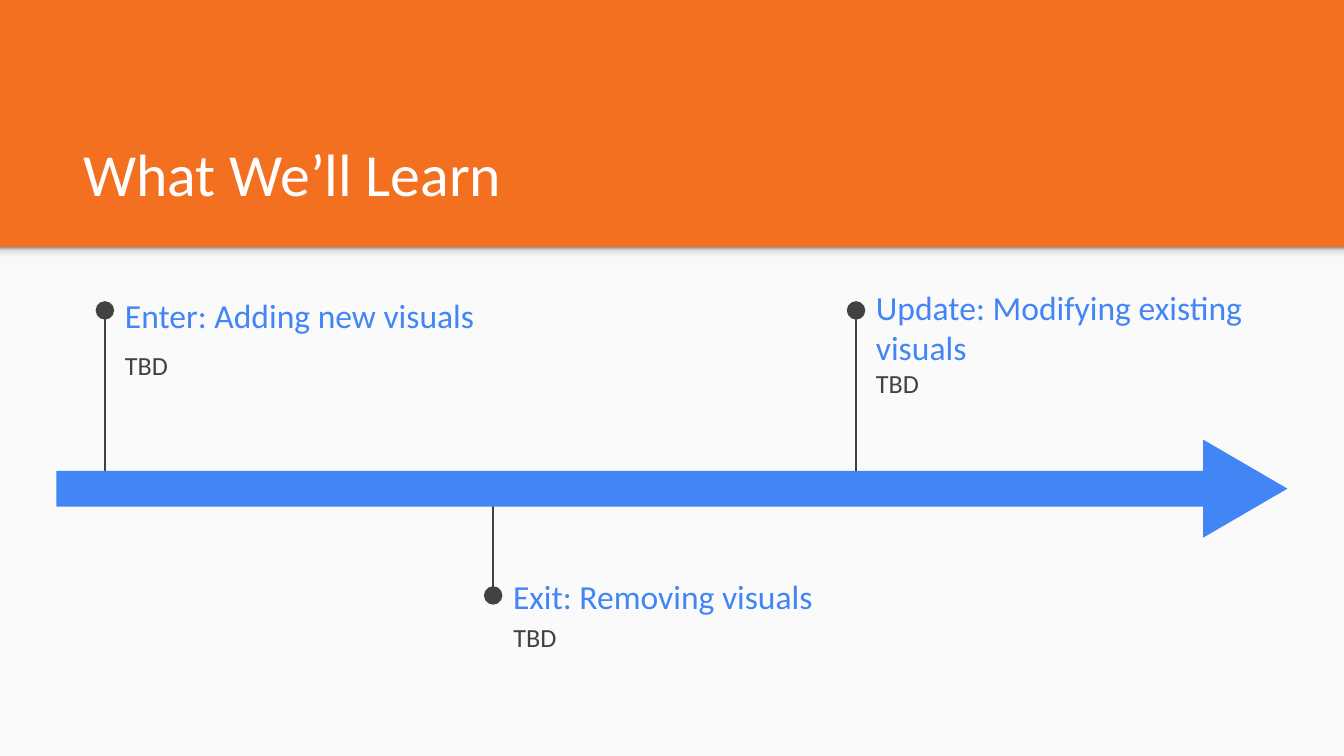
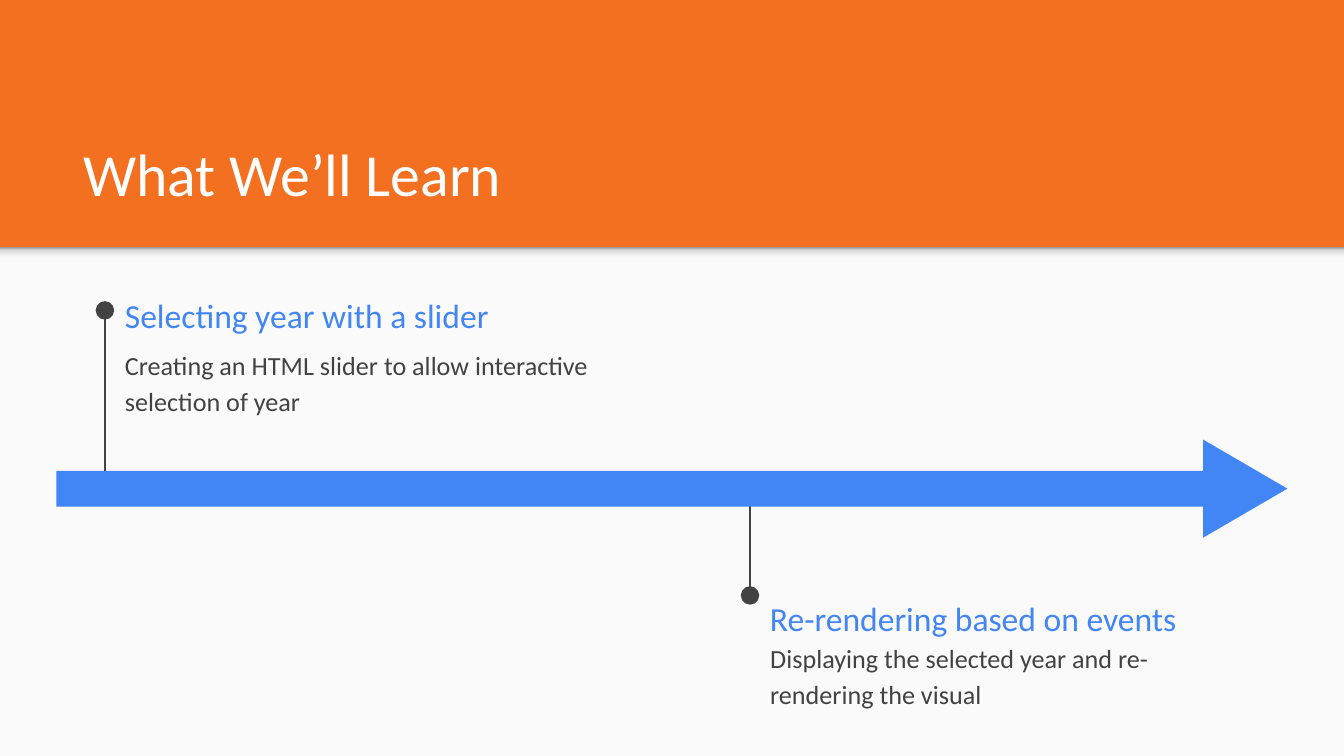
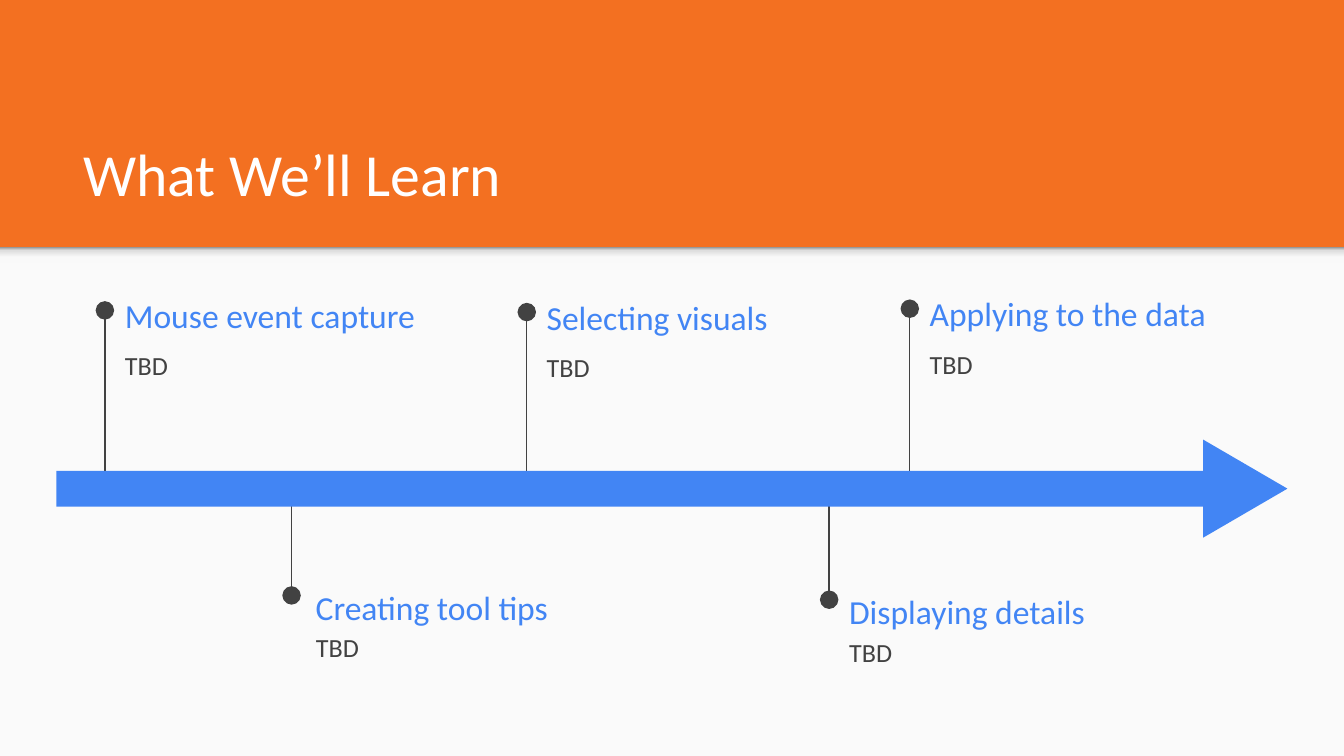
from dataclasses import dataclass
from typing import Optional

from lxml.etree import SubElement
from pptx import Presentation
from pptx.dml.color import RGBColor
from pptx.enum.shapes import MSO_CONNECTOR, MSO_SHAPE as Shape
from pptx.enum.text import MSO_ANCHOR as Anchor, MSO_AUTO_SIZE, PP_ALIGN
from pptx.oxml.ns import qn
from pptx.util import Pt


@dataclass(frozen=True)
class Theme:
    band: str = "F37021"
    panel: str = "FAFAFA"
    accent: str = "4285F4"
    ink: str = "424242"
    title: str = "FFFFFF"
    shade: tuple = ((0, "F9F9F9"), (36, "F9F9F9"), (80, "DEDEDE"), (100, "999999"))
    font: str = "Calibri"
    title_size: int = 32
    heading_size: int = 18
    detail_size: int = 14


@dataclass
class Milestone:
    heading: str
    x: float
    tip: float                    # height of the stem's dot
    heading_width: float
    detail_width: float
    detail: str = "TBD"
    rise: float = 13              # heading top above the dot
    drop: Optional[float] = None  # heading top to detail top
    indent: float = 3.6           # stem to text box


THEME = Theme()

# Content: the first milestone of a slide uses the body placeholder
TITLE = "What We’ll Learn"
SLIDES = [
    [
        Milestone("Exit: Removing visuals", 264.2, 319, 200, 120, rise=15.1),
        Milestone("Enter: Adding new visuals", 56.2, 166.3, 207.4, 144),
        Milestone("Update: Modifying existing visuals", 458.6, 166.3, 216, 144,
                  rise=6.5, drop=27.4),
    ],
    [
        Milestone("Re-rendering based on events", 401.8, 319, 238.3, 224.6,
                  "Displaying the selected year and re-rendering the visual", rise=3.6),
        Milestone("Selecting year with a slider", 56.2, 166.3, 300, 270,
                  "Creating an HTML slider to allow interactive selection of year"),
    ],
    [
        Milestone("Creating tool tips", 156.2, 319, 238.3, 224.6, rise=9.4, indent=5.8),
        Milestone("Mouse event capture", 56.2, 166.3, 189.4, 185.8),
        Milestone("Selecting visuals", 282.2, 167.2, 211, 185.8),
        Milestone("Displaying details", 444.2, 321.3, 238.3, 224.6, rise=9.4),
        Milestone("Applying to the data", 487.4, 165.4, 211, 185.8),
    ],
]

# Layout
WIDTH, HEIGHT = 720, 405
PANEL_TOP, SHADE_HEIGHT = 132.5, 8.6
TITLE_BOX = (37.4, 58.3, 647.3, 60.5)
BAR_BOX = (30.2, 252.3, 622.1, 19.2)
HEAD_BOX = (640.8, 239.2, 52.6, 45.2)
AXIS = BAR_BOX[1] + BAR_BOX[3] / 2
HEADING_HEIGHT, DETAIL_HEIGHT, INSET = 31, 45.4, 7.2
DROP_ABOVE, DROP_BELOW = 24.4, 19.2


def points(*lengths):
    return [Pt(length) for length in lengths]


def rgb(color):
    return RGBColor.from_string(color)


def add_block(shapes, kind, box, color):
    block = shapes.add_shape(kind, *points(*box))
    block.shadow.inherit = False
    block.fill.solid()
    block.fill.fore_color.rgb = rgb(color)
    block.line.fill.background()
    return block


def write(holder, text, box, size, color, anchor):
    holder.left, holder.top, holder.width, holder.height = points(*box)
    frame = holder.text_frame
    frame.text = text
    frame.word_wrap = True
    frame.auto_size = MSO_AUTO_SIZE.NONE
    frame.vertical_anchor = anchor
    frame.margin_left = frame.margin_right = Pt(INSET)
    frame.margin_top = frame.margin_bottom = Pt(INSET)
    paragraph = frame.paragraphs[0]
    properties = paragraph._p.get_or_add_pPr()
    properties.set("marL", "0")
    properties.set("indent", "0")
    SubElement(properties, qn("a:buNone"))
    paragraph.alignment = PP_ALIGN.LEFT
    paragraph.space_before = Pt(0)
    paragraph.font.name = THEME.font
    paragraph.font.size = Pt(size)
    paragraph.font.color.rgb = rgb(color)
    return paragraph


def add_panel(slide):
    """Draw the pale panel and its top shade, then hand both to the layout."""
    panel = add_block(slide.shapes, Shape.RECTANGLE,
                      (0, PANEL_TOP, WIDTH, HEIGHT - PANEL_TOP), THEME.panel)
    shade = add_block(slide.shapes, Shape.RECTANGLE,
                      (0, PANEL_TOP, WIDTH, SHADE_HEIGHT), THEME.panel)
    shade.fill.gradient()
    shade.fill.gradient_angle = 90
    stops = shade.element.spPr.find(qn("a:gradFill")).find(qn("a:gsLst"))
    stops.clear()
    for percent, color in THEME.shade:
        stop = SubElement(stops, qn("a:gs"), pos=str(percent * 1000))
        SubElement(stop, qn("a:srgbClr"), val=color)
    first_placeholder = slide.slide_layout.shapes[0].element
    for number, part in enumerate((panel, shade), start=20):
        part.element.nvSpPr.cNvPr.set("id", str(number))
        first_placeholder.addprevious(part.element)


def add_stem(slide, x, tip):
    stem = slide.shapes.add_connector(MSO_CONNECTOR.STRAIGHT, *points(x, AXIS, x, tip))
    stem.line.color.rgb = rgb(THEME.ink)
    stem.line.width = Pt(0.75)
    SubElement(stem.line._get_or_add_ln(), qn("a:tailEnd"), type="oval", w="lg", len="lg")
    SubElement(stem.element.spPr, qn("a:effectLst"))


def add_milestone(slide, milestone, body=None):
    add_stem(slide, milestone.x, milestone.tip)
    left = milestone.x + milestone.indent
    top = milestone.tip - milestone.rise
    drop = milestone.drop or (DROP_ABOVE if milestone.tip < AXIS else DROP_BELOW)
    heading_box = (left, top, milestone.heading_width, HEADING_HEIGHT)
    detail_box = (left, top + drop, milestone.detail_width, DETAIL_HEIGHT)
    heading = slide.shapes.add_textbox(*points(*heading_box))
    write(heading, milestone.heading, heading_box,
          THEME.heading_size, THEME.accent, Anchor.MIDDLE)
    detail = body or slide.shapes.add_textbox(*points(*detail_box))
    paragraph = write(detail, milestone.detail, detail_box,
                      THEME.detail_size, THEME.ink, Anchor.TOP)
    paragraph.line_spacing = 1.15
    paragraph.space_after = Pt(16)


def add_timeline_arrow(slide):
    arrow = slide.shapes.add_group_shape()
    head = add_block(arrow.shapes, Shape.ISOSCELES_TRIANGLE, HEAD_BOX, THEME.accent)
    head.rotation = 90
    add_block(arrow.shapes, Shape.RECTANGLE, BAR_BOX, THEME.accent)


def main():
    deck = Presentation()
    deck.slide_width, deck.slide_height = points(WIDTH, HEIGHT)
    background = deck.slide_master.background.fill
    background.solid()
    background.fore_color.rgb = rgb(THEME.band)

    for index, milestones in enumerate(SLIDES):
        slide = deck.slides.add_slide(deck.slide_layouts[1])
        if index == 0:
            add_panel(slide)
        write(slide.shapes.title, TITLE, TITLE_BOX,
              THEME.title_size, THEME.title, Anchor.BOTTOM)
        first, *others = milestones
        add_milestone(slide, first, body=slide.placeholders[1])
        for milestone in others:
            add_milestone(slide, milestone)
        add_timeline_arrow(slide)

    deck.save("out.pptx")


if __name__ == "__main__":
    main()
